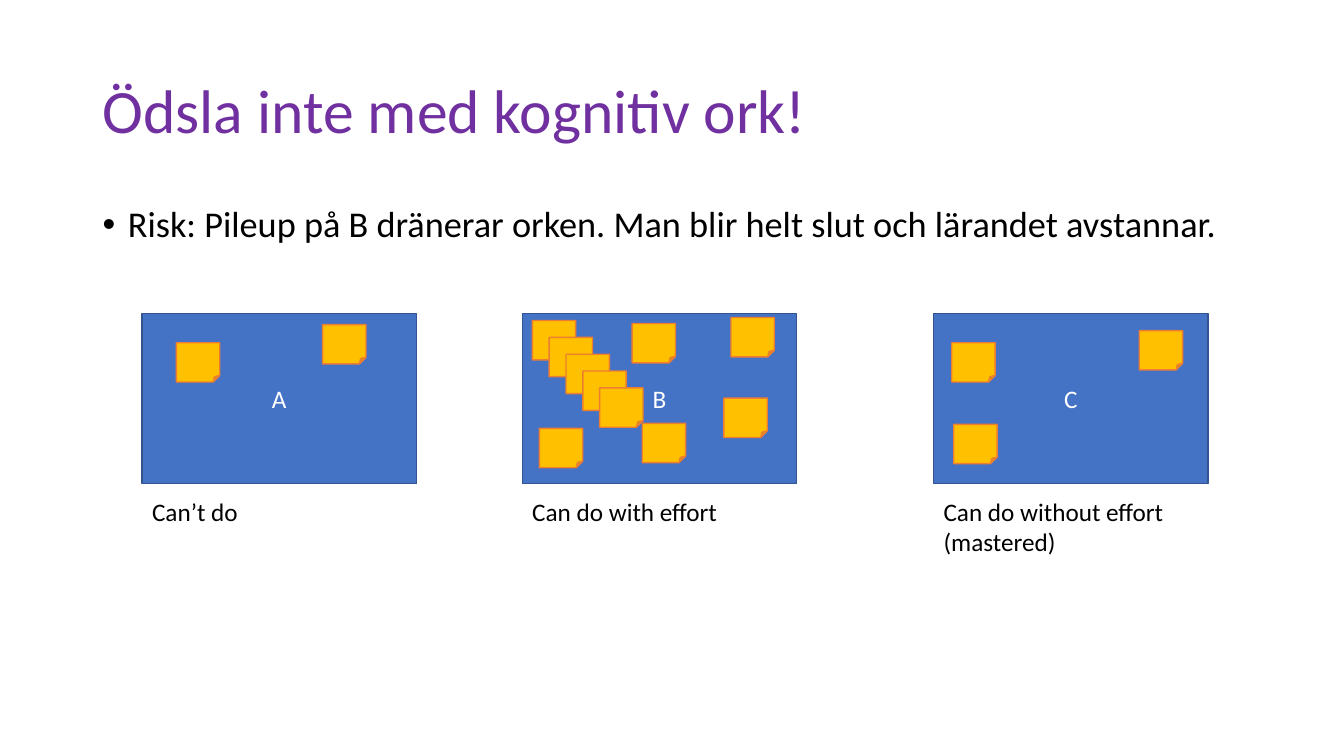
"""Build the slide on cognitive effort: three boards, A to C, with sticky notes."""
from dataclasses import dataclass

from lxml import etree
from pptx import Presentation
from pptx.dml.color import RGBColor
from pptx.enum import shapes, text
from pptx.oxml import ns
from pptx.util import Inches, Pt


@dataclass(frozen=True)
class Theme:
    font: str = "Calibri"
    title_size: float = 44
    risk_size: float = 25.9
    label_size: float = 18
    title: str = "7030A0"
    ink: str = "000000"
    board: str = "4472C4"
    board_edge: str = "325491"
    board_label: str = "FFFFFF"
    note: str = "FFC000"
    note_edge: str = "ED7D31"


theme = Theme()
deck = Presentation()
deck.slide_width, deck.slide_height = Inches(13.33), Inches(7.5)
slide = deck.slides.add_slide(deck.slide_layouts[6])


def write(holder, words, size, color, frame_format, paragraph_format):
    """Put one formatted paragraph in a shape and return the paragraph."""
    frame = holder.text_frame
    paragraph = frame.paragraphs[0]
    run = paragraph.add_run()
    run.text = words
    font_format = {"name": theme.font, "size": Pt(size)}
    for target, values in (
        (frame, {"word_wrap": True, **frame_format}),
        (paragraph, paragraph_format),
        (run.font, font_format),
    ):
        for name, value in values.items():
            setattr(target, name, value)
    run.font.color.rgb = RGBColor.from_string(color)
    return paragraph


def add_block(kind, box, fill, edge):
    """Draw a filled, outlined shape without a shadow."""
    block = slide.shapes.add_shape(kind, *map(Inches, box))
    block.shadow.inherit = False
    block.fill.solid()
    block.fill.fore_color.rgb = RGBColor.from_string(fill)
    block.line.color.rgb = RGBColor.from_string(edge)
    block.line.width = Pt(1)
    return block


middle = {"vertical_anchor": text.MSO_ANCHOR.MIDDLE}
tight = {"line_spacing": 0.9}

title = slide.shapes.add_textbox(*map(Inches, (0.92, 0.4, 11.5, 1.45)))
write(title, "Ödsla inte med kognitiv ork!", theme.title_size, theme.title, middle, tight)

risk = slide.shapes.add_textbox(*map(Inches, (0.92, 2, 11.5, 0.65)))
risk_line = write(
    risk,
    "Risk: Pileup på B dränerar orken. Man blir helt slut och lärandet avstannar.",
    theme.risk_size, theme.ink, {}, tight,
)
bullet = risk_line._p.get_or_add_pPr()
bullet.set("marL", str(Inches(0.25)))
bullet.set("indent", str(Inches(-0.25)))
etree.SubElement(bullet, ns.qn("a:buFont"), typeface="Arial")
etree.SubElement(bullet, ns.qn("a:buChar"), char="•")

board_top, board_width, board_height = 3.11, 2.72, 1.69
caption_top = 4.87
boards = [
    ("A", 1.41, "Can’t do", 0.4),
    ("B", 5.18, "Can do with effort", 0.4),
    ("C", 9.26, "Can do without effort (mastered)", 0.71),
]
for letter, left, meaning, caption_height in boards:
    board = add_block(
        shapes.MSO_SHAPE.RECTANGLE,
        (left, board_top, board_width, board_height),
        theme.board, theme.board_edge,
    )
    write(board, letter, theme.label_size, theme.board_label, middle,
          {"alignment": text.PP_ALIGN.CENTER})
    caption = slide.shapes.add_textbox(
        *map(Inches, (left, caption_top, board_width, caption_height)))
    write(caption, meaning, theme.label_size, theme.ink,
          {"auto_size": text.MSO_AUTO_SIZE.SHAPE_TO_FIT_TEXT}, {})

note_width, note_height = 0.43, 0.39
pile_step = 0.167
pile = [(5.28 + i * pile_step, 3.18 + i * pile_step) for i in range(5)]
spread_notes = [
    (6.37, 4.2), (6.27, 3.21), (5.35, 4.25), (7.18, 3.95), (7.25, 3.15),
    (3.2, 3.22), (1.75, 3.4),
    (9.44, 3.4), (11.3, 3.28), (9.46, 4.21),
]
for left, top in pile + spread_notes:
    add_block(shapes.MSO_SHAPE.FOLDED_CORNER, (left, top, note_width, note_height),
              theme.note, theme.note_edge)

deck.save("out.pptx")
